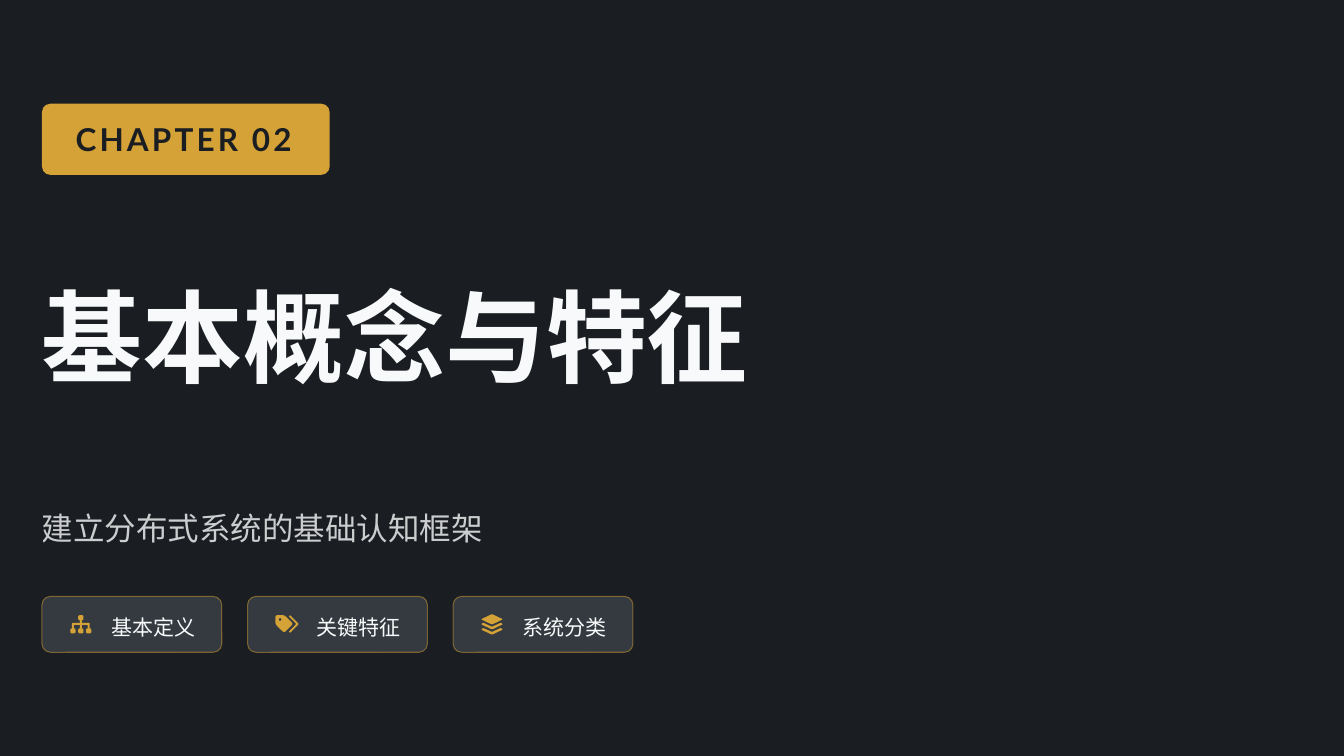
from lxml import etree
from pptx import Presentation
from pptx.dml.color import RGBColor
from pptx.enum import shapes, text
from pptx.oxml.ns import qn
from pptx.util import Pt

COLORS = {"ink": "1A1D21", "gold": "D4A237", "light": "F8F9FA", "panel": "343A40"}
FONT = "Lato"
MARGIN = 40
CORNER = 8


def set_alpha(fill, percent):
    """Make a solid fill, just coloured, partly transparent."""
    color = fill._xPr.find(qn("a:solidFill"))[0]
    etree.SubElement(color, qn("a:alpha"), val=str(percent * 1000))


def paint(shape, fill, line=None, line_alpha=100):
    shape.shadow.inherit = False
    shape.fill.solid()
    shape.fill.fore_color.rgb = RGBColor.from_string(COLORS[fill])
    if line is None:
        shape.line.fill.background()
        return
    shape.line.width = Pt(1)
    shape.line.color.rgb = RGBColor.from_string(COLORS[line])
    set_alpha(shape.line.fill, line_alpha)


def add_panel(slide, left, top, width, height, **format):
    shape = slide.shapes.add_shape(
        shapes.MSO_SHAPE.ROUNDED_RECTANGLE, Pt(left), Pt(top), Pt(width), Pt(height))
    shape.adjustments[0] = CORNER / min(width, height)
    paint(shape, **format)


def add_text(slide, words, left, top, width, height, *, size, color="light",
             bold=False, spacing=None, line_spacing=None, alpha=None):
    box = slide.shapes.add_textbox(Pt(left), Pt(top), Pt(width), Pt(height))
    frame = box.text_frame
    frame.word_wrap = True
    frame.vertical_anchor = text.MSO_ANCHOR.MIDDLE
    frame.margin_left = frame.margin_right = frame.margin_top = frame.margin_bottom = 0
    paragraph = frame.paragraphs[0]
    if line_spacing:
        paragraph.line_spacing = line_spacing
    run = paragraph.add_run()
    run.text = words
    font = run.font
    font.name, font.size, font.bold = FONT, Pt(size), bold
    font.color.rgb = RGBColor.from_string(COLORS[color])
    if alpha:
        set_alpha(font.fill, alpha)
    if spacing:
        run._r.get_or_add_rPr().set("spc", str(spacing * 100))


def rounded(corners, cut):
    """Return the polygon with each corner replaced by a sampled curve."""
    points = []
    for index, (x, y) in enumerate(corners):
        ends = []
        for near_x, near_y in (corners[index - 1], corners[(index + 1) % len(corners)]):
            length = ((near_x - x) ** 2 + (near_y - y) ** 2) ** 0.5
            share = min(cut / length, 0.5)
            ends.append((x + (near_x - x) * share, y + (near_y - y) * share))
        (x1, y1), (x2, y2) = ends
        for step in range(7):
            t = step / 6
            a, b, c = (1 - t) ** 2, 2 * t * (1 - t), t ** 2
            points.append((a * x1 + b * x + c * x2, a * y1 + b * y + c * y2))
    return points


def square(left, top, side, cut):
    right, bottom = left + side, top + side
    return rounded([(left, top), (right, top), (right, bottom), (left, bottom)], cut)


def sitemap_icon():
    nodes = [square(x, y, 5, 1.9)
             for x, y in ((7.5, 1.25), (0, 13.75), (7.5, 13.75), (15, 13.75))]
    branches = [(9.1, 6.25), (10.9, 6.25), (10.9, 8.75), (18.4, 8.75), (18.4, 13.75),
                (16.6, 13.75), (16.6, 10.6), (10.9, 10.6), (10.9, 13.75), (9.1, 13.75),
                (9.1, 10.6), (3.4, 10.6), (3.4, 13.75), (1.6, 13.75), (1.6, 8.75),
                (9.1, 8.75)]
    return nodes + [rounded(branches, 0.6)]


def tags_icon():
    front = [(0.7, 1.25), (9.4, 1.25), (17.7, 9.4), (9, 18.1), (0.7, 9.8)]
    back = [(14.6, 1.2), (23, 9.7), (14.8, 18.2), (13.5, 17), (20.6, 9.7), (13.5, 2.4)]
    return [rounded(back, 0.9), rounded(front, 2.4), square(3.95, 4.15, 2.5, 1.25)]


def layers_icon():
    sheet = [(-0.5, 5.2), (10, 0.2), (20.5, 5.2), (10, 10.2)]
    edge = [(1.6, 8.4), (10, 12.3), (18.4, 8.4), (20.5, 9.9), (10, 14.9), (-0.5, 9.9)]
    lower_edge = [(x, y + 5) for x, y in edge]
    return [rounded(outline, 1.2) for outline in (sheet, edge, lower_edge)]


def add_icon(slide, contours, left, top):
    placed = [[(Pt(left + x), Pt(top + y)) for x, y in contour] for contour in contours]
    builder = slide.shapes.build_freeform(*placed[0][0], scale=1.0)
    for index, contour in enumerate(placed):
        if index:
            builder.move_to(*contour[0])
        builder.add_line_segments(contour[1:], close=True)
    paint(builder.convert_to_shape(), "gold")


def add_badge(slide, words, left, top, width, height):
    add_panel(slide, left, top, width, height, fill="gold")
    add_text(slide, words, left + 32, top, width - 18, height,
             size=30, color="ink", bold=True, spacing=3)


def add_chip(slide, label, icon, icon_width, left, top, width, height):
    add_panel(slide, left, top, width, height, fill="panel", line="gold", line_alpha=50)
    add_icon(slide, icon, left + 37 - icon_width / 2, top + 16.6)
    add_text(slide, label, left + 66, top + 13, 90, 27, size=20, line_spacing=1.2)


def add_chip_row(slide, left, top):
    chips = [("基本定义", sitemap_icon(), 20),
             ("关键特征", tags_icon(), 22.5),
             ("系统分类", layers_icon(), 20)]
    width, gap = 171.2, 24.6
    for index, chip in enumerate(chips):
        add_chip(slide, *chip, left + index * (width + gap), top, width, 53.2)


def add_chapter_slide(presentation):
    slide = presentation.slides.add_slide(presentation.slide_layouts[6])
    background = slide.background.fill
    background.solid()
    background.fore_color.rgb = RGBColor.from_string(COLORS["ink"])
    add_badge(slide, "CHAPTER 02", MARGIN, 98.8, 274, 67.8)
    add_text(slide, "基本概念与特征", MARGIN, 199, 1240, 240, size=96, bold=True)
    add_text(slide, "建立分布式系统的基础认知框架", MARGIN, 471, 783, 49,
             size=30, line_spacing=1.4, alpha=80)
    add_chip_row(slide, MARGIN, 568)


def main():
    presentation = Presentation()
    presentation.slide_width, presentation.slide_height = Pt(1280), Pt(720)
    add_chapter_slide(presentation)
    presentation.save("out.pptx")


if __name__ == "__main__":
    main()
